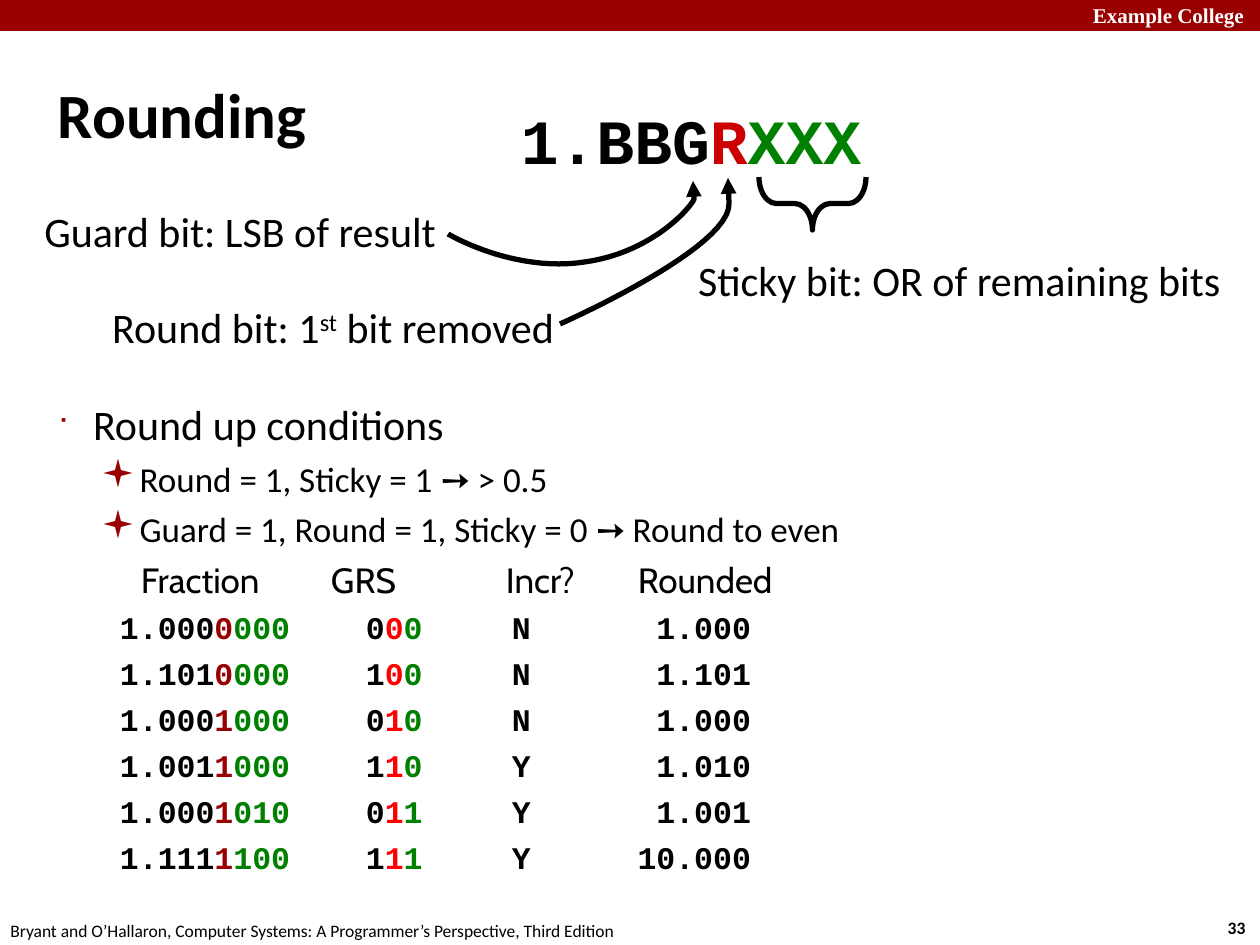
import pptx
import pptx.dml.color
import pptx.enum.shapes
import pptx.enum.text
import pptx.oxml
import pptx.oxml.ns
import pptx.util

SCALE = 914400 / 126  # EMU per px
COLORS = {
    "black": "000000", "white": "FFFFFF", "bar": "990000", "round": "CC0000",
    "sticky": "008000", "first cut": "980002", "red": "FF0000",
}
ALIGN = pptx.enum.text.PP_ALIGN
ANCHOR = pptx.enum.text.MSO_ANCHOR
SHAPE = pptx.enum.shapes.MSO_SHAPE
SANS, MONO, SERIF = "Calibri", "Courier New", "Times New Roman"

BULLETS = [
    # text, size, left margin, hanging indent, space before, mark, mark size %
    ("Round up conditions", 24, 35, 35, 6, "■", 60),
    ("Round = 1, Sticky = 1 ➙ > 0.5", 20, 76, 33, 5, "▪", 110),
    ("Guard = 1, Round = 1, Sticky = 0 ➙ Round to even", 20, 76, 33, 5, "▪", 110),
]
# header, width, header indent, value indent
COLUMNS = [("Fraction", 211, 21, 0), ("GRS", 175, 0, 35),
           ("Incr?", 102, 0, 6), ("Rounded", 182, 30, 0)]
ROWS = [
    ("1.0000000", "000", "N", "1.000"),
    ("1.1010000", "100", "N", "1.101"),
    ("1.0001000", "010", "N", "1.000"),
    ("1.0011000", "110", "Y", "1.010"),
    ("1.0001010", "011", "Y", "1.001"),
    ("1.1111100", "111", "Y", "10.000"),
]


def px(n):
    return pptx.util.Emu(round(n * SCALE))


def rgb(name):
    return pptx.dml.color.RGBColor.from_string(COLORS[name])


def add_run(p, text, size, font=SANS, color="black", bold=False):
    r = p.add_run()
    r.text = text
    r.font.size = pptx.util.Pt(size)
    r.font.name = font
    r.font.bold = bold
    r.font.color.rgb = rgb(color)
    return r


def set_insets(tf, x, y):
    tf.margin_left = tf.margin_right = px(x)
    tf.margin_top = tf.margin_bottom = px(y)


def add_text(slide, box, runs, size, align=ALIGN.LEFT, insets=(5, 5), wrap=False, **style):
    """Runs are (text, color) pairs; returns the runs that were made."""
    tf = slide.shapes.add_textbox(*map(px, box)).text_frame
    tf.word_wrap = wrap
    set_insets(tf, *insets)
    p = tf.paragraphs[0]
    p.alignment = align
    return [add_run(p, text, size, color=color, **style) for text, color in runs]


def add_title(slide, text):
    title = slide.shapes.title
    title.left, title.top, title.width, title.height = map(px, (53, 34, 1155, 158))
    tf = title.text_frame
    tf.auto_size = pptx.enum.text.MSO_AUTO_SIZE.NONE
    tf.vertical_anchor = ANCHOR.MIDDLE
    set_insets(tf, 5, 5)
    p = tf.paragraphs[0]
    p.alignment = ALIGN.LEFT
    add_run(p, text, 36, bold=True)


def add_bar(slide):
    sp = slide.shapes.add_shape(SHAPE.RECTANGLE, 0, 0, px(1261), px(31))
    sp.shadow.inherit = False
    sp.fill.solid()
    sp.fill.fore_color.rgb = rgb("bar")
    sp.line.fill.background()


def style_outline(sp):
    sp.shadow.inherit = False
    sp.fill.background()
    sp.line.color.rgb = rgb("black")
    sp.line.width = pptx.util.Pt(3)


def add_brace(slide):
    sp = slide.shapes.add_shape(SHAPE.LEFT_BRACE, *map(px, (786, 150, 53, 107)))
    sp.rotation = 270
    sp.adjustments[0] = 0.33
    style_outline(sp)


def bezier(a, b, c, d, steps=24):
    """Points along a cubic curve, without its start."""
    for i in range(1, steps + 1):
        t = i / steps
        u = 1 - t
        yield tuple(u**3 * k + 3 * u * u * t * l + 3 * u * t * t * m + t**3 * n
                    for k, l, m, n in zip(a, b, c, d))


def add_curved_arrow(slide, start, curves, tip):
    """Curves are (control, control, end) triples; a straight tip follows them."""
    points = [start]
    for curve in curves:
        points += bezier(points[-1], *curve)
    points.append(tip)
    emu = [(px(x), px(y)) for x, y in points]
    builder = slide.shapes.build_freeform(*emu[0], scale=1.0)
    builder.add_line_segments(emu[1:], close=False)
    sp = builder.convert_to_shape()
    style_outline(sp)
    ln = sp.line._get_or_add_ln()
    ln.append(pptx.oxml.parse_xml(
        f'<a:tailEnd {pptx.oxml.ns.nsdecls("a")} type="triangle"/>'))


def add_bullets(slide):
    tf = slide.shapes.add_textbox(*map(px, (53, 393, 1155, 160))).text_frame
    tf.word_wrap = True
    set_insets(tf, 5, 5)
    ns = pptx.oxml.ns.nsdecls("a")
    for i, (text, size, margin, hang, before, mark, percent) in enumerate(BULLETS):
        p = tf.add_paragraph() if i else tf.paragraphs[0]
        p.level = int(i > 0)
        p.space_before = pptx.util.Pt(before)
        pPr = p._p.get_or_add_pPr()
        pPr.set("marL", str(px(margin)))
        pPr.set("indent", str(-px(hang)))
        for xml in (f'<a:buClr {ns}><a:srgbClr val="{COLORS["bar"]}"/></a:buClr>',
                    f'<a:buSzPct {ns} val="{percent * 1000}"/>',
                    f'<a:buFont {ns} typeface="Wingdings"/>',
                    f'<a:buChar {ns} char="{mark}"/>'):
            pPr.append(pptx.oxml.parse_xml(xml))
        add_run(p, text, size)


def fill_cell(cell, runs, size, indent=0, right=0, align=ALIGN.LEFT, **style):
    cell.fill.background()
    cell.vertical_anchor = ANCHOR.MIDDLE
    cell.margin_left, cell.margin_right = px(indent), px(right)
    cell.margin_top = cell.margin_bottom = 0
    p = cell.text_frame.paragraphs[0]
    p.alignment = align
    for text, color in runs:
        add_run(p, text, size, color=color, **style)


def add_rounding_table(slide):
    width = sum(column[1] for column in COLUMNS)
    table = slide.shapes.add_table(len(ROWS) + 1, len(COLUMNS),
                                   *map(px, (120, 554, width, 330))).table
    table.first_row = table.horz_banding = False
    for row in table.rows:
        row.height = px(46)
    table.rows[0].height = px(54)
    for c, (header, column_width, indent, _) in enumerate(COLUMNS):
        table.columns[c].width = px(column_width)
        fill_cell(table.cell(0, c), [(header, "black")], 20, indent, font="Cabin")
    for r, (fraction, grs, incr, rounded) in enumerate(ROWS, 1):
        cells = [
            [(fraction[:5], "black"), (fraction[5], "first cut"), (fraction[6:], "sticky")],
            list(zip(grs, ("black", "red", "sticky"))),
            [(incr, "black")],
            [(rounded, "black")],
        ]
        for c, runs in enumerate(cells):
            last = c == len(cells) - 1
            fill_cell(table.cell(r, c), runs, 18, COLUMNS[c][3], 39 if last else 0,
                      ALIGN.RIGHT if last else ALIGN.LEFT, font=MONO, bold=True)


def main():
    prs = pptx.Presentation()
    prs.slide_width, prs.slide_height = px(1260), px(945)
    slide = prs.slides.add_slide(prs.slide_layouts[5])

    add_text(slide, (1213, 911, 47, 34), [("33", "black")], 10, ALIGN.CENTER, (6, 6), bold=True)
    add_text(slide, (-3, 914, 630, 34),
             [("Bryant and O’Hallaron, Computer Systems: "
               "A Programmer’s Perspective, Third Edition", "black")],
             10, ALIGN.CENTER, (6, 6))
    add_bar(slide)
    add_text(slide, (1007, -3, 250, 38), [("Example College", "white")], 12, ALIGN.RIGHT,
             (13, 6), font=SERIF, bold=True)

    add_title(slide, "Rounding")
    add_bullets(slide)
    add_rounding_table(slide)

    add_text(slide, (514, 97, 354, 87),
             [("1.BBG", "black"), ("R", "round"), ("XXX", "sticky")],
             36, ALIGN.CENTER, font=MONO, bold=True)
    add_text(slide, (19, 201, 422, 62), [("Guard bit: LSB of result", "black")],
             24, ALIGN.RIGHT, wrap=True)
    round_runs = add_text(slide, (92, 297, 467, 62),
                          [("Round bit: 1", "black"), ("st", "black"),
                           (" bit removed", "black")], 24, ALIGN.RIGHT)
    round_runs[1].font._element.set("baseline", "30000")
    add_brace(slide)
    add_text(slide, (693, 249, 549, 62), [("Sticky bit: OR of remaining bits", "black")], 24)

    add_curved_arrow(slide, (560, 324), [((560, 324), (732, 248), (729, 203))], (728, 178))
    add_curved_arrow(slide, (448, 234),
                     [((448, 234), (513, 273), (585, 262)),
                      ((656, 252), (694, 203), (694, 199))], (693, 181))
    prs.save("out.pptx")


if __name__ == "__main__":
    main()
